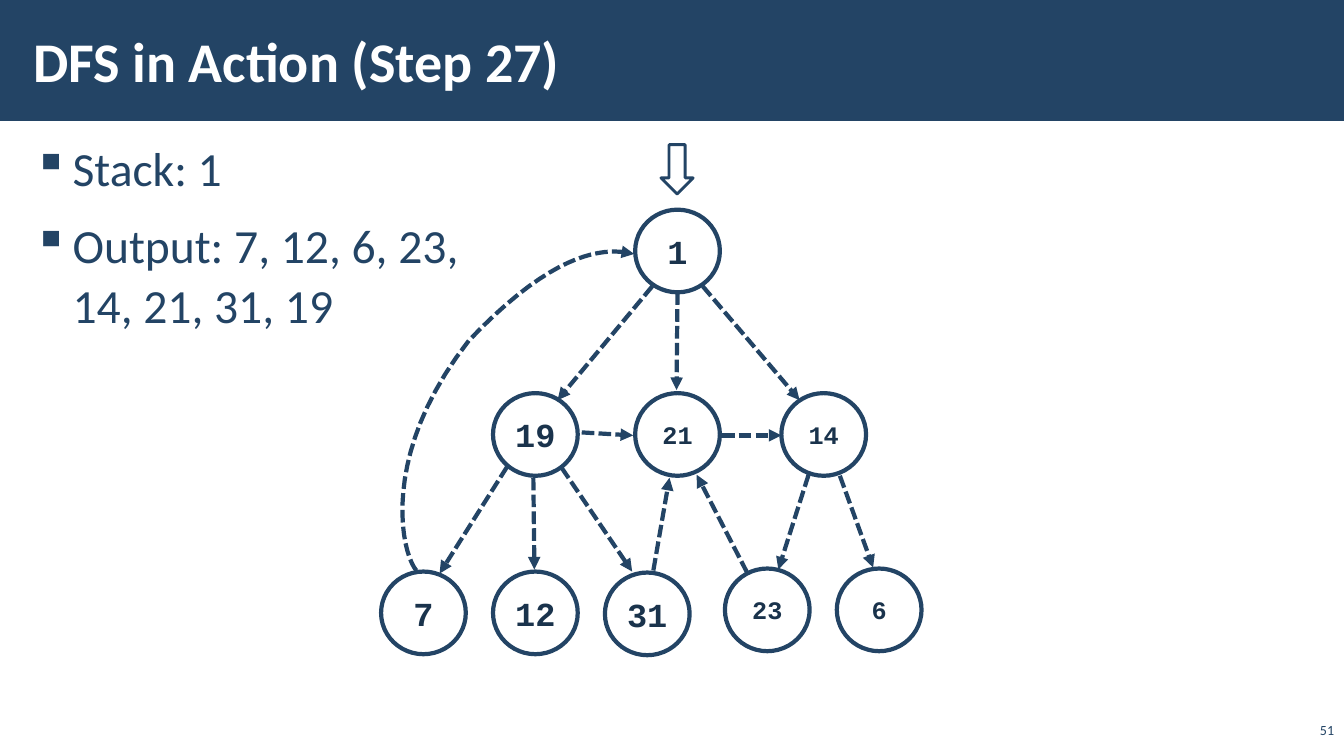
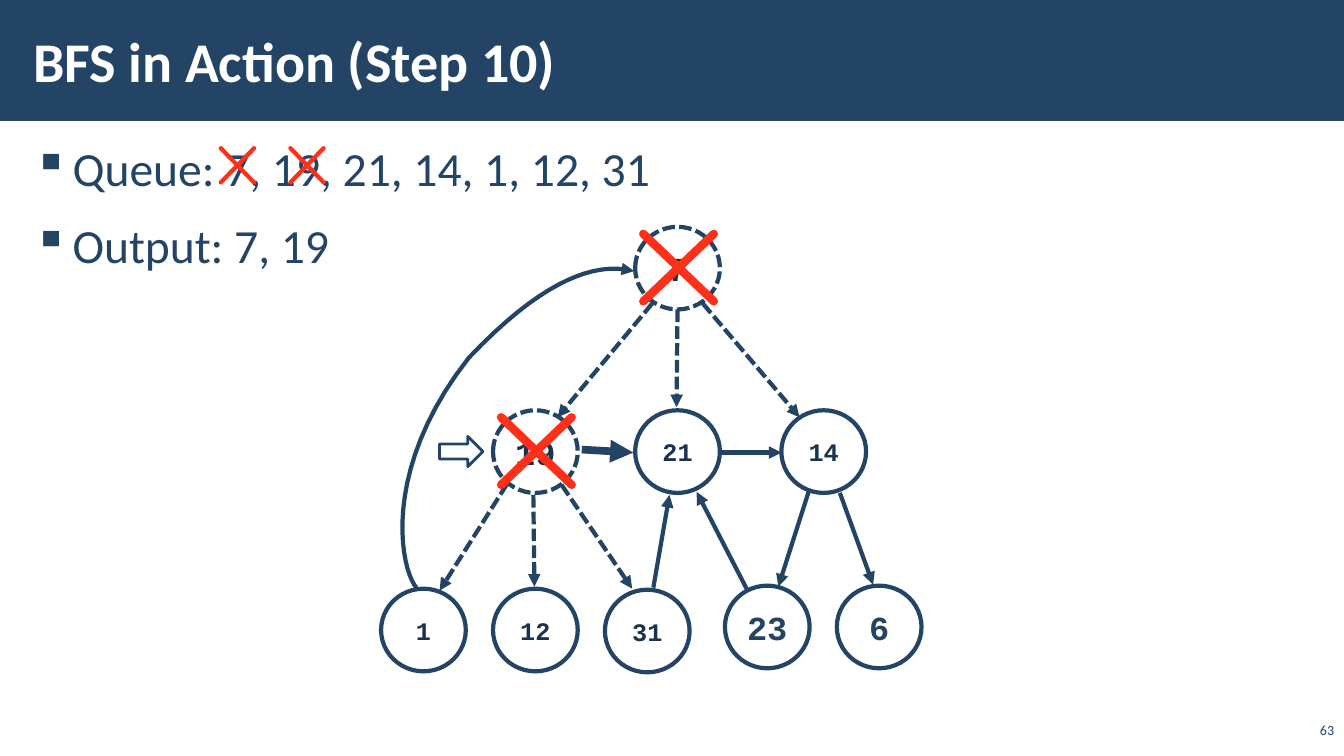
from lxml.etree import SubElement
from pptx import Presentation
from pptx.dml.color import RGBColor
from pptx.enum.dml import MSO_LINE
from pptx.enum.shapes import MSO_CONNECTOR, MSO_SHAPE
from pptx.enum.text import MSO_ANCHOR, PP_ALIGN
from pptx.oxml.ns import qn
from pptx.util import Inches, Pt

NAVY, INK, BLUE, RED, WHITE = "234465", "1A334C", "244465", "FF2F19", "FFFFFF"
NODE_W, NODE_H = 0.84, 0.82
TITLE = {"name": "Calibri", "size": Pt(40), "bold": True}
BODY = {"name": "Calibri", "size": Pt(34)}
NUMBER = {"name": "Calibri", "size": Pt(10)}
LABEL = {"name": "Courier New", "bold": True}

# Left and top of each graph position
NODES = {
    "root": (6.3, 2.08),
    "left": (4.89, 3.9), "mid": (6.3, 3.9), "right": (7.75, 3.9),
    "leaf1": (3.78, 5.67), "leaf2": (4.89, 5.67), "leaf3": (6, 5.68),
    "leaf4": (7.19, 5.64), "leaf5": (8.3, 5.64),
}
# Start node, end node, start point, end point
EDGES = [
    ("root", "left", (6.47, 2.84), (5.53, 3.97)),
    ("root", "mid", (6.72, 2.9), (6.71, 3.87)),
    ("root", "right", (6.97, 2.84), (7.93, 3.97)),
    ("left", "mid", (5.77, 4.29), (6.28, 4.32)),
    ("mid", "right", (7.16, 4.32), (7.75, 4.32)),
    ("left", "leaf1", (5.03, 4.63), (4.36, 5.69)),
    ("left", "leaf2", (5.29, 4.74), (5.3, 5.65)),
    ("left", "leaf3", (5.57, 4.64), (6.27, 5.67)),
    ("leaf3", "mid", (6.48, 5.66), (6.64, 4.74)),
    ("leaf4", "mid", (7.41, 5.68), (6.91, 4.71)),
    ("right", "leaf4", (8.02, 4.71), (7.72, 5.65)),
    ("right", "leaf5", (8.33, 4.72), (8.66, 5.63)),
]
# Bézier control points of the edge from leaf1 back to root
BACK_EDGE = [
    [(4.13, 5.66), (3.98, 5.49), (3.76, 4.51), (4.65, 3.38)],
    [(4.65, 3.38), (5.54, 2.44), (6.04, 2.46), (6.29, 2.52)],
]

# labels: node -> (text, size, colour, opacity); walked: nodes whose edges are dashed
SLIDES = [
    {
        "title": "DFS in Action (Step 27)", "number": "51", "drop": 0,
        "bullets": ["Stack: 1", "Output: 7, 12, 6, 23,\v14, 21, 31, 19"],
        "labels": {
            "root": ("1", 24, INK, 70), "left": ("19", 24, INK, 70),
            "mid": ("21", 18, INK, 70), "right": ("14", 18, INK, 70),
            "leaf1": ("7", 24, INK, 70), "leaf2": ("12", 24, INK, 70),
            "leaf3": ("31", 24, INK, 70), "leaf4": ("23", 18, INK, 70),
            "leaf5": ("6", 18, INK, 70),
        },
        "walked": list(NODES), "crossed": [], "active": None, "strikes": [],
        "pointer": (6.47, 1.52, 0.49, 0.32, 90),
    },
    {
        "title": "BFS in Action (Step 10)", "number": "63", "drop": 0.17,
        "bullets": ["Queue: 7, 19, 21, 14, 1, 12, 31", "Output: 7, 19"],
        "labels": {
            "root": ("7", 24, INK, 70), "left": ("19", 24, INK, 70),
            "mid": ("21", 18, INK, 70), "right": ("14", 18, INK, 70),
            "leaf1": ("1", 18, INK, 70), "leaf2": ("12", 18, INK, 70),
            "leaf3": ("31", 18, INK, 70), "leaf4": ("23", 24, BLUE, 50),
            "leaf5": ("6", 24, BLUE, 50),
        },
        "walked": ["root", "left"], "crossed": ["root", "left"],
        "active": ("left", "mid"), "strikes": [(2.19, 1.47), (2.88, 1.47)],
        "pointer": (4.36, 4.33, 0.43, 0.3, 0),
    },
]


def rgb(color):
    return RGBColor.from_string(color)


def set_font(p, color, **values):
    for r in p.runs:
        for name, value in values.items():
            setattr(r.font, name, value)
        r.font.color.rgb = rgb(color)


def set_line(sp, color, width, dashed=False, arrow=False, cap=None):
    sp.line.color.rgb = rgb(color)
    sp.line.width = Pt(width)
    if dashed:
        sp.line.dash_style = MSO_LINE.SQUARE_DOT
    ln = sp._element.spPr.find(qn("a:ln"))
    if cap:
        ln.set("cap", cap)
    if arrow:
        SubElement(ln, qn("a:tailEnd"), type="triangle")


def add_shape(s, kind, box, fill, opacity=100):
    sp = s.shapes.add_shape(kind, *map(Inches, box))
    sp.shadow.inherit = False
    sp.fill.solid()
    sp.fill.fore_color.rgb = rgb(fill)
    sp.line.fill.background()
    if opacity < 100:
        clr = sp._element.spPr.find(qn("a:solidFill"))[0]
        SubElement(clr, qn("a:alpha"), val=str(opacity * 1000))
    return sp


def add_line(s, start, end, color, width, **style):
    c = s.shapes.add_connector(MSO_CONNECTOR.STRAIGHT, *map(Inches, start + end))
    set_line(c, color, width, **style)
    SubElement(c._element.spPr, qn("a:effectLst"))


def add_cross(s, x, y, w, h, width):
    for start, end in (((x, y), (x + w, y + h)), ((x + w, y), (x, y + h))):
        add_line(s, start, end, RED, width, cap="rnd")


def add_text(s, box, paragraphs, color, font, anchor, inset=0.12):
    tf = s.shapes.add_textbox(*map(Inches, box)).text_frame
    tf.word_wrap = True
    tf.vertical_anchor = anchor
    tf.margin_left = tf.margin_right = Inches(inset)
    tf.margin_top = tf.margin_bottom = Inches(0.04)
    for i, text in enumerate(paragraphs):
        p = tf.add_paragraph() if i else tf.paragraphs[0]
        p.text = text
        set_font(p, color, **font)
    return tf


def add_bullets(s, items):
    tf = add_text(s, (0.21, 1.31, 12.92, 6.05), items, NAVY, BODY, MSO_ANCHOR.TOP)
    for i, p in enumerate(tf.paragraphs):
        pPr = p._p.get_or_add_pPr()
        pPr.set("marL", str(Inches(0.39)))
        pPr.set("indent", str(-Inches(0.39)))
        SubElement(pPr, qn("a:buChar"), char="▪")
        p.line_spacing = 1.05
        p.space_before = Pt(6 if i else 0)
        p.space_after = Pt(6)


def add_frame(s, title, number):
    """Add the title band, the title and the slide number."""
    add_shape(s, MSO_SHAPE.RECTANGLE, (0, 0, 13.34, 1.2), NAVY)
    add_text(s, (0.21, 0.11, 10.63, 0.97), [title], WHITE, TITLE, MSO_ANCHOR.MIDDLE)
    tf = add_text(s, (12.86, 7.14, 0.47, 0.22), [number], NAVY, NUMBER,
                  MSO_ANCHOR.BOTTOM, inset=0.1)
    tf.paragraphs[0].alignment = PP_ALIGN.RIGHT


def bezier(controls, steps=20):
    """Return the points after the first on a cubic Bézier curve."""
    points = []
    for i in range(1, steps + 1):
        t = i / steps
        weights = ((1 - t) ** 3, 3 * t * (1 - t) ** 2, 3 * t * t * (1 - t), t ** 3)
        points.append(tuple(sum(w * c[axis] for w, c in zip(weights, controls))
                            for axis in (0, 1)))
    return points


def add_back_edge(s, drop, dashed):
    points = BACK_EDGE[0][:1] + [pt for part in BACK_EDGE for pt in bezier(part)]
    points = [(Inches(x), Inches(y + drop)) for x, y in points]
    builder = s.shapes.build_freeform(*points[0])
    builder.add_line_segments(points[1:], close=False)
    sp = builder.convert_to_shape()
    sp.shadow.inherit = False
    sp.fill.background()
    set_line(sp, NAVY, 3, dashed, arrow=True)


def add_node(s, x, y, label, dashed):
    text, size, color, opacity = label
    sp = add_shape(s, MSO_SHAPE.OVAL, (x, y, NODE_W, NODE_H), WHITE, opacity)
    set_line(sp, NAVY, 3, dashed)
    tf = sp.text_frame
    tf.word_wrap = False
    tf.vertical_anchor = MSO_ANCHOR.MIDDLE
    p = tf.paragraphs[0]
    p.text = text
    p.alignment = PP_ALIGN.CENTER
    set_font(p, color, size=Pt(size), **LABEL)


def add_graph(s, data):
    drop, walked, crossed = data["drop"], data["walked"], data["crossed"]
    for source, target, (x1, y1), (x2, y2) in EDGES:
        active = (source, target) == data["active"]
        add_line(s, (x1, y1 + drop), (x2, y2 + drop), NAVY, 5.5 if active else 3,
                 dashed=source in walked and not active, arrow=True)
    add_back_edge(s, drop, "leaf1" in walked)
    for name, (x, y) in NODES.items():
        add_node(s, x, y + drop, data["labels"][name], name in crossed)
    for name in crossed:
        x, y = NODES[name]
        add_cross(s, x + 0.08, y + drop + 0.07, 0.7, 0.67, 6)


def main():
    prs = Presentation()
    prs.slide_width, prs.slide_height = Inches(13.33), Inches(7.5)
    for data in SLIDES:
        s = prs.slides.add_slide(prs.slide_layouts[6])
        add_frame(s, data["title"], data["number"])
        add_bullets(s, data["bullets"])
        for x, y in data["strikes"]:
            add_cross(s, x, y, 0.33, 0.34, 3)
        add_graph(s, data)
        *box, rotation = data["pointer"]
        pointer = add_shape(s, MSO_SHAPE.RIGHT_ARROW, box, WHITE, 50)
        pointer.rotation = rotation
        set_line(pointer, NAVY, 2)
    prs.save("out.pptx")


if __name__ == "__main__":
    main()
